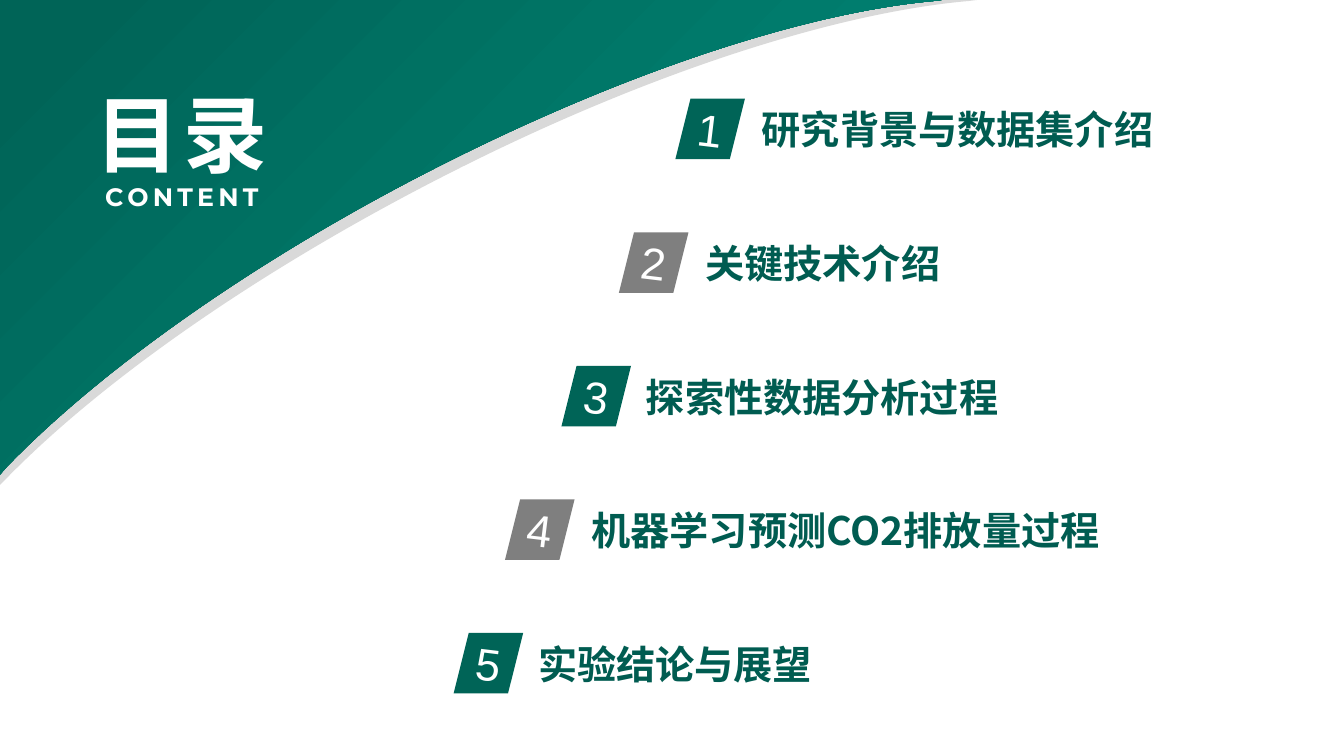
from dataclasses import dataclass
from math import cos, radians, sin

from lxml import etree
from pptx import Presentation
from pptx.dml.color import RGBColor
from pptx.enum.text import MSO_ANCHOR, MSO_AUTO_SIZE, PP_ALIGN
from pptx.oxml.ns import qn
from pptx.util import Pt

CENTER = PP_ALIGN.CENTER
LEFT = PP_ALIGN.LEFT
MIDDLE = MSO_ANCHOR.MIDDLE
GROW = MSO_AUTO_SIZE.SHAPE_TO_FIT_TEXT

CHINESE_FONT = "Noto Sans CJK SC"
GREEN = "006457"
LIGHT_GREEN = "008E7D"
TEXT_GREEN = "005C51"
GRAY = "7F7F7F"
PALE_GRAY = "D9D9D9"
WHITE = "FFFFFF"

MARKER_TILT = 6.9
MARKER_CORNERS = [(24.84, -21.6), (14.04, 21.6), (-24.84, 21.6), (-14.04, -21.6)]
FIRST_MARKER_Y = 92.16
FIRST_TITLE_TOP = 72
ROW_STEP = 95.4

Point = tuple[float, float]


@dataclass
class Style:
    font: str
    size: float
    color: str
    bold: bool = True
    spacing: float = 0


@dataclass
class Label:
    text: str
    left: float
    top: float
    width: float
    height: float
    style: Style
    align: PP_ALIGN = LEFT
    wrap: bool = True


@dataclass
class Chapter:
    title: str
    marker_x: float
    title_left: float
    title_width: float = 318.24


HEADING = Style(CHINESE_FONT, 60, WHITE, spacing=3)
SUBHEADING = Style("Montserrat", 18, WHITE, spacing=3)
CHAPTER_TITLE = Style(CHINESE_FONT, 28, TEXT_GREEN)
NUMBER = Style("Arial", 32, WHITE, bold=False)

HEADINGS = [
    Label("目录", 59.04, 55.44, 141.84, 79.92, HEADING, CENTER, False),
    Label("CONTENT", 62.64, 126, 134.64, 28.8, SUBHEADING, CENTER, False),
]
CHAPTERS = [
    Chapter("研究背景与数据集介绍", 507.24, 537.12),
    Chapter("关键技术介绍", 466.92, 496.8),
    Chapter("探索性数据分析过程", 425.88, 454.32),
    Chapter("机器学习预测CO2排放量过程", 385.56, 415.44, 403.92),
    Chapter("实验结论与展望", 348.84, 377.28),
]

GRAY_SWEEP = [
    (0, 0), (697.68, 0), (691.92, 0.72),
    (594, 9.36), (454.32, 54.72), (309.6, 129.6),
    (180, 196.56), (72, 272.88), (5.04, 341.28), (0, 346.32),
]
GREEN_SWEEP = [
    (0, 0), (672.48, 0), (666.72, 0.72),
    (572.4, 9.36), (437.76, 54), (298.08, 126.72),
    (173.52, 191.52), (69.12, 267.12), (5.04, 333.36), (0, 339.12),
]
SWEEP_CURVE_STARTS = (3, 6)


def rgb(color: str) -> RGBColor:
    return RGBColor.from_string(color)


def add_outline(page, points: list[Point]):
    corners = [(Pt(x), Pt(y)) for x, y in points]
    builder = page.shapes.build_freeform(*corners[0])
    builder.add_line_segments(corners[1:], close=True)
    shape = builder.convert_to_shape()
    shape.shadow.inherit = False
    shape.line.fill.background()
    return shape


def add_sweep(page, points: list[Point]):
    shape = add_outline(page, points)
    outline = next(shape.element.iter(qn("a:path")))
    steps = list(outline)
    for start in SWEEP_CURVE_STARTS:
        curve = etree.Element(qn("a:cubicBezTo"))
        steps[start].addprevious(curve)
        for step in steps[start:start + 3]:
            curve.append(step[0])
            outline.remove(step)
    return shape


def write(frame, text: str, style: Style, align: PP_ALIGN) -> None:
    frame.text = text
    para = frame.paragraphs[0]
    para.alignment = align
    span = para.runs[0]
    span.font.name = style.font
    span.font.size = Pt(style.size)
    span.font.bold = style.bold
    span.font.color.rgb = rgb(style.color)
    properties = span.font._element
    etree.SubElement(properties, qn("a:ea")).set("typeface", style.font)
    if style.spacing:
        properties.set("spc", str(int(style.spacing * 100)))


def add_label(page, label: Label) -> None:
    box = page.shapes.add_textbox(
        Pt(label.left), Pt(label.top), Pt(label.width), Pt(label.height)
    )
    frame = box.text_frame
    frame.word_wrap = label.wrap
    frame.auto_size = GROW
    write(frame, label.text, label.style, label.align)


def add_marker(page, number: int, x: float, y: float) -> None:
    turn = radians(MARKER_TILT)
    corners = [
        (x + dx * cos(turn) + dy * sin(turn), y - dx * sin(turn) + dy * cos(turn))
        for dx, dy in MARKER_CORNERS
    ]
    marker = add_outline(page, corners)
    marker.rotation = MARKER_TILT
    marker.fill.solid()
    marker.fill.fore_color.rgb = rgb(GREEN if number % 2 else GRAY)
    frame = marker.text_frame
    frame.margin_left = frame.margin_right = 0
    frame.margin_top = frame.margin_bottom = 0
    frame.vertical_anchor = MIDDLE
    write(frame, str(number), NUMBER, CENTER)


def add_background(page) -> None:
    edge = add_sweep(page, GRAY_SWEEP)
    edge.fill.solid()
    edge.fill.fore_color.rgb = rgb(PALE_GRAY)
    field = add_sweep(page, GREEN_SWEEP)
    field.fill.gradient()
    field.fill.gradient_angle = 315
    stops = field.fill.gradient_stops
    for stop, position, color in zip(stops, (0.06, 1), (GREEN, LIGHT_GREEN)):
        stop.position = position
        stop.color.rgb = rgb(color)


def main() -> None:
    deck = Presentation()
    deck.slide_width, deck.slide_height = Pt(960), Pt(540)
    page = deck.slides.add_slide(deck.slide_layouts[6])
    add_background(page)
    for heading in HEADINGS:
        add_label(page, heading)
    for row, chapter in enumerate(CHAPTERS):
        top = FIRST_TITLE_TOP + row * ROW_STEP
        add_label(page, Label(chapter.title, chapter.title_left, top,
                              chapter.title_width, 41.04, CHAPTER_TITLE))
        add_marker(page, row + 1, chapter.marker_x, FIRST_MARKER_Y + row * ROW_STEP)
    deck.save("out.pptx")


if __name__ == "__main__":
    main()
